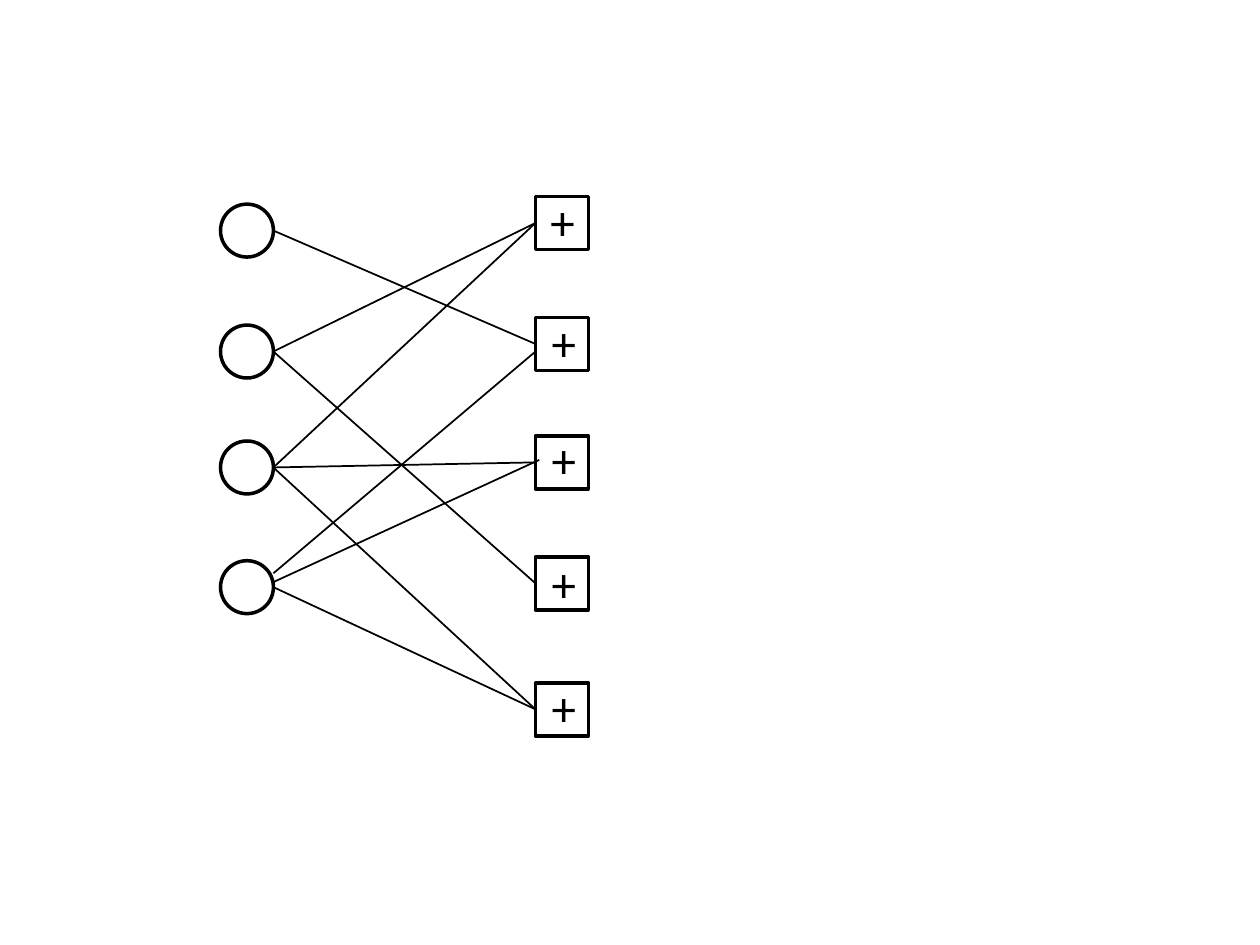
from pptx import Presentation
from pptx.dml.color import RGBColor
from pptx.enum.shapes import MSO_CONNECTOR, MSO_SHAPE
from pptx.enum.text import MSO_AUTO_SIZE
from pptx.oxml.ns import qn
from pptx.util import Inches, Pt
from lxml import etree

COLORS = {"ink": "000000"}
INK = RGBColor.from_string(COLORS["ink"])
SIZE = 0.42
CIRCLE_LEFT, SQUARE_LEFT = 1.75, 4.25
CIRCLE_RIGHT = CIRCLE_LEFT + SIZE

deck = Presentation()
deck.slide_width, deck.slide_height = Inches(10), Inches(7.5)
page = deck.slides.add_slide(deck.slide_layouts[6])


def add_node(kind, left, top):
    node = page.shapes.add_shape(
        kind, Inches(left), Inches(top), Inches(SIZE), Inches(SIZE))
    node.shadow.inherit = False
    node.fill.background()
    node.line.color.rgb = INK
    node.line.width = Pt(2)
    return node


def add_edge(start_y, end_x, end_y):
    edge = page.shapes.add_connector(
        MSO_CONNECTOR.STRAIGHT, Inches(CIRCLE_RIGHT), Inches(start_y),
        Inches(end_x), Inches(end_y))
    edge.line.color.rgb = INK
    edge.line.width = Pt(1)
    etree.SubElement(edge._element.spPr, qn("a:effectLst"))
    return edge


circle_tops = [1.62, 2.58, 3.5, 4.45]
for top in circle_tops:
    add_node(MSO_SHAPE.OVAL, CIRCLE_LEFT, top)

square_tops = [1.56, 2.52, 3.46, 4.42, 5.42]
squares = [add_node(MSO_SHAPE.RECTANGLE, SQUARE_LEFT, top) for top in square_tops]

plus_places = [(4.27, 1.47), (4.28, 2.43), (4.28, 3.36), (4.28, 4.34), (4.28, 5.33)]
for left, top in plus_places:
    box = page.shapes.add_textbox(Inches(left), Inches(top), Inches(0.4), Inches(0.57))
    frame = box.text_frame
    frame.word_wrap = False
    frame.auto_size = MSO_AUTO_SIZE.SHAPE_TO_FIT_TEXT
    para = frame.paragraphs[0]
    para.text = "+"
    para.font.name = "Calibri"
    para.font.size = Pt(28)
    para.font.color.rgb = INK

joined_edges = [(0, 1), (1, 0), (2, 0), (2, 2), (2, 4), (3, 4), (1, 3)]
for circle, square in joined_edges:
    edge = add_edge(circle_tops[circle] + SIZE / 2,
                    SQUARE_LEFT, square_tops[square] + SIZE / 2)
    edge.end_connect(squares[square], 1)

free_edges = [(4.62, 4.28, 3.65), (4.55, 4.25, 2.79)]
for start_y, end_x, end_y in free_edges:
    add_edge(start_y, end_x, end_y)

deck.save("out.pptx")
